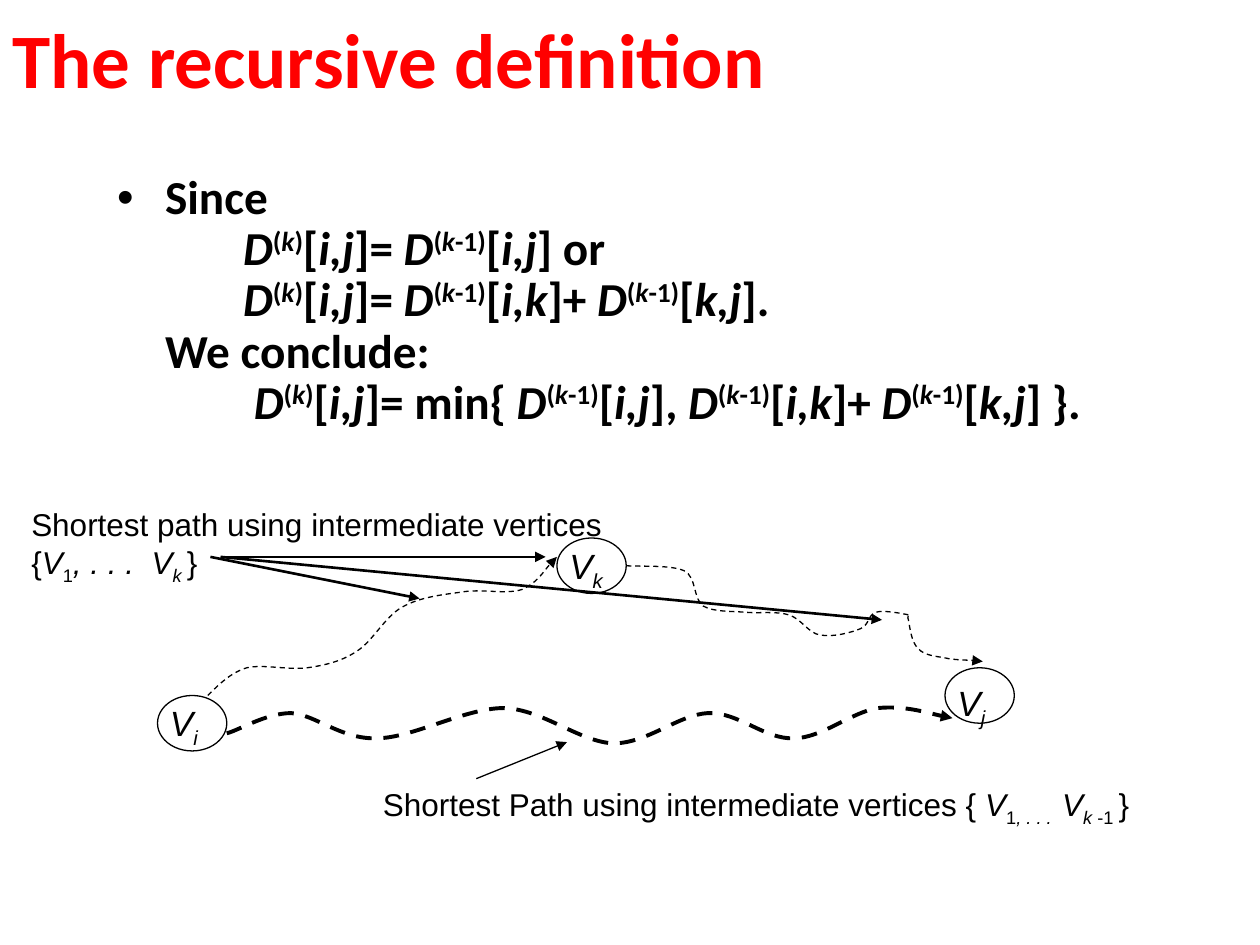
"""Build the slide on the recursive definition of all-pairs shortest paths."""
from copy import deepcopy
from itertools import groupby
from lxml import etree
from pptx import Presentation
from pptx import util as u
from pptx.dml.color import RGBColor
from pptx.enum import dml, shapes, text
from pptx.oxml.ns import qn

COLORS = {"title": "FF0000", "ink": "000000"}
MARKS = {"*": "italic", "^": "super", "_": "sub"}
BASELINES = {"super": "30000", "sub": "-25000"}


def write(para, marked, size, font, color="ink", bold=False):
    """Add runs to a paragraph; * toggles italic, ^ superscript, _ subscript."""
    active, letters = set(), []
    for letter in marked:
        if letter in MARKS:
            active ^= {MARKS[letter]}
        else:
            letters.append((letter, frozenset(active), letter == "\n"))
    for (style, is_break), group in groupby(letters, key=lambda item: item[1:]):
        if is_break:
            para.add_line_break()
            para._p[-1].append(deepcopy(para.runs[-1]._r.rPr))
            continue
        span = para.add_run()
        span.text = "".join(item[0] for item in group)
        span.font.size = u.Pt(size)
        span.font.name = font
        span.font.bold = bold
        span.font.italic = "italic" in style
        span.font.color.rgb = RGBColor.from_string(COLORS[color])
        for name in style & BASELINES.keys():
            span.font._element.set("baseline", BASELINES[name])


def stroke(shape, width, dashed=False, arrow=True):
    """Give an outline its colour, width, dashes and arrowhead, without shadow."""
    shape.line.color.rgb = RGBColor.from_string(COLORS["ink"])
    shape.line.width = u.Pt(width)
    if dashed:
        shape.line.dash_style = dml.MSO_LINE.DASH
    properties = shape._element.spPr
    if arrow:
        etree.SubElement(properties.find(qn("a:ln")), qn("a:tailEnd"), type="triangle")
    if properties.find(qn("a:effectLst")) is None:
        etree.SubElement(properties, qn("a:effectLst"))


deck = Presentation()
deck.slide_width, deck.slide_height = u.Inches(10), u.Inches(7.5)
page = deck.slides.add_slide(deck.slide_layouts[1])

title, body = page.placeholders
for holder, top, height in [(title, -0.17, 1.25), (body, 1.33, 2.42)]:
    holder.left, holder.top = u.Inches(0 if holder is title else 0.83), u.Inches(top)
    holder.width, holder.height = u.Inches(8.5), u.Inches(height)
    holder.text_frame.auto_size = text.MSO_AUTO_SIZE.NONE

title.text_frame.vertical_anchor = text.MSO_ANCHOR.MIDDLE
para = title.text_frame.paragraphs[0]
para.alignment = text.PP_ALIGN.LEFT
write(para, "The recursive definition", 44, "Calibri", "title", bold=True)

para = body.text_frame.paragraphs[0]
layout = para._p.get_or_add_pPr()
layout.set("marL", str(u.Inches(0.38)))
layout.set("indent", str(u.Inches(-0.38)))
etree.SubElement(layout, qn("a:buFont"), typeface="Arial")
etree.SubElement(layout, qn("a:buChar"), char="•")
tabs = etree.SubElement(layout, qn("a:tabLst"))
for stop in range(1, 9):
    etree.SubElement(tabs, qn("a:tab"), pos=str(u.Inches(stop)), algn="l")
para.line_spacing = 0.9
para.space_before = u.Pt(0)
now, before = "*D*^(*k*)^", "*D*^(*k*-1)^"
direct = f"{before}[*i,j*]"
detour = f"{before}[*i,k*]+ {before}[*k,j*]"
lines = [
    "Since ",
    f"\t{now}[*i,j*]= {direct} or",
    f"\t{now}[*i,j*]= {detour}.",
    "We conclude: ",
    f"\t {now}[*i,j*]= min{{ {direct}, {detour} }}.",
]
write(para, "\n".join(lines), 27, "Calibri", bold=True)

for left, top in [(1.25, 5.52), (4.42, 4.27), (7.5, 5.3)]:
    vertex = page.shapes.add_shape(
        shapes.MSO_SHAPE.OVAL, u.Inches(left), u.Inches(top), u.Inches(0.55), u.Inches(0.44))
    vertex.fill.background()
    vertex.shadow.inherit = False
    stroke(vertex, 0.75, arrow=False)

labels = [
    (1.25, 5.52, 0.55, 0.48, 20, "*V_i_*"),
    (7.5, 5.36, 0.49, 0.48, 20, "*V_j_*"),
    (4.42, 4.27, 0.63, 0.48, 20, "*V_k_*"),
    (2.94, 6.18, 6.12, 0.44, 18,
     "Shortest Path using intermediate vertices { *V*_1*, . . .  *_*V_k_*_ -1 _}"),
    (0.15, 3.96, 4.73, 0.74, 18,
     "Shortest path using intermediate vertices\n{*V*_1_*, . . .  V_k _*}"),
]
for left, top, width, height, size, marked in labels:
    box = page.shapes.add_textbox(
        u.Inches(left), u.Inches(top), u.Inches(width), u.Inches(height))
    box.text_frame.word_wrap = size == 20
    box.text_frame.auto_size = text.MSO_AUTO_SIZE.SHAPE_TO_FIT_TEXT
    write(box.text_frame.paragraphs[0], marked, size, "Arial")

direct_path = [
    (1.8, 5.82), (1.89, 5.8), (2.11, 5.66), (2.31, 5.66), (2.5, 5.67), (2.71, 5.87),
    (2.99, 5.86), (3.27, 5.86), (3.69, 5.62), (4, 5.62), (4.31, 5.63), (4.6, 5.89),
    (4.87, 5.9), (5.14, 5.9), (5.39, 5.67), (5.62, 5.66), (5.86, 5.65), (6.07, 5.87),
    (6.3, 5.86), (6.52, 5.86), (6.76, 5.65), (6.97, 5.62), (7.18, 5.6), (7.44, 5.68),
    (7.56, 5.7)]
path_to_k = [
    (1.65, 5.52), (1.74, 5.43), (1.83, 5.34), (1.96, 5.3), (2.09, 5.27), (2.29, 5.32),
    (2.44, 5.3), (2.58, 5.28), (2.71, 5.25), (2.83, 5.17), (2.96, 5.09), (3.05, 4.9),
    (3.19, 4.82), (3.33, 4.74), (3.51, 4.72), (3.66, 4.7), (3.82, 4.67), (4.01, 4.72),
    (4.14, 4.68), (4.26, 4.63), (4.36, 4.47), (4.42, 4.42)]
path_from_k = [
    (4.97, 4.49), (5.05, 4.5), (5.32, 4.48), (5.43, 4.53), (5.53, 4.58), (5.5, 4.75),
    (5.58, 4.81), (5.67, 4.86), (5.81, 4.85), (5.92, 4.86), (6.03, 4.87), (6.16, 4.85),
    (6.26, 4.88), (6.36, 4.91), (6.42, 5.03), (6.51, 5.04), (6.61, 5.06), (6.76, 5.02),
    (6.83, 4.99), (6.9, 4.96), (6.89, 4.88), (6.95, 4.86), (7.01, 4.84), (7.16, 4.87),
    (7.21, 4.88), (7.25, 4.89), (7.19, 4.87), (7.21, 4.92), (7.22, 4.96), (7.23, 5.1),
    (7.29, 5.15), (7.34, 5.21), (7.46, 5.21), (7.54, 5.23), (7.63, 5.24), (7.75, 5.24),
    (7.8, 5.25)]
for points, width in [(direct_path, 2.25), (path_to_k, 0.75), (path_from_k, 0.75)]:
    start, *controls = [(u.Inches(x), u.Inches(y)) for x, y in points]
    builder = page.shapes.build_freeform(*start)
    builder.add_line_segments(controls, close=False)
    curve = builder.convert_to_shape()
    segments = list(curve._element.iter(qn("a:lnTo")))
    for first in range(0, len(segments), 3):
        bezier = etree.Element(qn("a:cubicBezTo"))
        segments[first].addprevious(bezier)
        for segment in segments[first:first + 3]:
            bezier.append(segment[0])
            segment.getparent().remove(segment)
    curve.fill.background()
    curve.shadow.inherit = False
    stroke(curve, width, dashed=True)

arrows = [
    (3.78, 6.18, 4.5, 5.89, 0.75),
    (1.67, 4.42, 3.33, 4.75, 1.5),
    (1.75, 4.42, 7, 4.92, 1.5),
    (1.75, 4.42, 4.33, 4.42, 1),
]
for *ends, width in arrows:
    arrow = page.shapes.add_connector(
        shapes.MSO_CONNECTOR.STRAIGHT, *[u.Inches(end) for end in ends])
    stroke(arrow, width)

deck.save("out.pptx")
